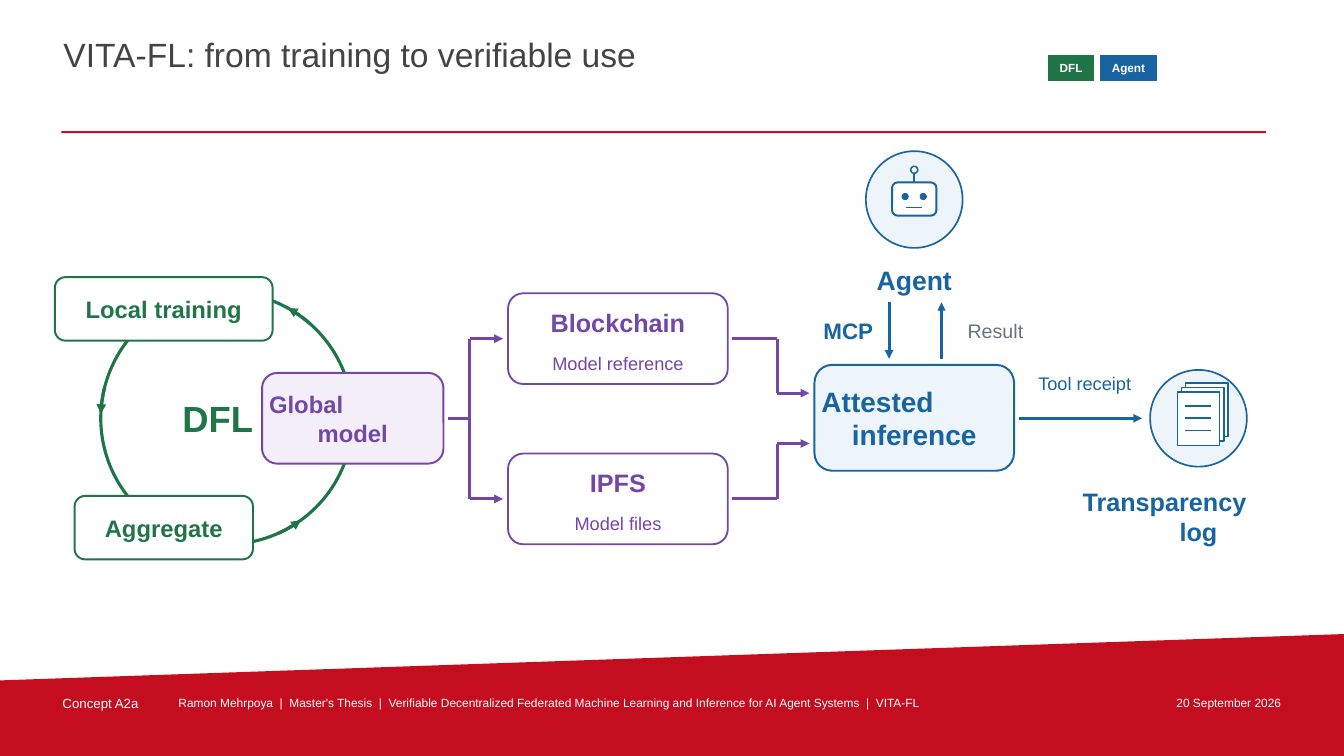
import math

from lxml import etree
from pptx import Presentation
from pptx import util as u
from pptx.dml.color import RGBColor
from pptx.enum import shapes, text
from pptx.oxml.ns import qn

# Grid: square cells of 0.1 inch, counted in columns and rows
COLUMNS, ROWS = 133.33, 75
AXIS = 41.5  # row on which the whole flow is centred
RED, GREEN, PURPLE, BLUE = "C40D1E", "207548", "7446A6", "1764A1"
WHITE, LILAC, ICE = "FFFFFF", "F3EEF8", "EDF4FA"
RECT = shapes.MSO_SHAPE.RECTANGLE
ROUND = shapes.MSO_SHAPE.ROUNDED_RECTANGLE
OVAL = shapes.MSO_SHAPE.OVAL
LEFT, CENTER, RIGHT = text.PP_ALIGN.LEFT, text.PP_ALIGN.CENTER, text.PP_ALIGN.RIGHT


def cells(*counts):
    return [u.Inches(count / 10) for count in counts]


def rgb(hex_code):
    return RGBColor.from_string(hex_code)


def paint(shape, fill, line=None, width=1.4):
    shape.shadow.inherit = False
    shape.fill.solid()
    shape.fill.fore_color.rgb = rgb(fill)
    if line:
        shape.line.color.rgb = rgb(line)
        shape.line.width = u.Pt(width)
    else:
        shape.line.fill.background()


def figure(slide, kind, box, fill, line=None, width=1.4):
    shape = slide.shapes.add_shape(kind, *cells(*box))
    paint(shape, fill, line, width)
    return shape


def write(frame, words, size, color, bold=False, aligns=(CENTER,),
          anchor=text.MSO_ANCHOR.MIDDLE, margin=0.0):
    """Fill a text frame; aligns holds one alignment per paragraph."""
    frame.word_wrap = True
    frame.auto_size = text.MSO_AUTO_SIZE.SHAPE_TO_FIT_TEXT
    frame.vertical_anchor = anchor
    frame.margin_left = frame.margin_right = u.Inches(margin)
    frame.margin_top = frame.margin_bottom = u.Inches(margin)
    frame.text = words
    for paragraph, align in zip(frame.paragraphs, aligns):
        paragraph.alignment = align
        for run in paragraph.runs:
            run.font.name = "Arial"
            run.font.size = u.Pt(size)
            run.font.bold = bold
            run.font.color.rgb = rgb(color)


def label(slide, box, words, size, color, **style):
    frame = slide.shapes.add_textbox(*cells(*box)).text_frame
    write(frame, words, size, color, **style)


def card(slide, box, words, size, color, fill=WHITE, aligns=(CENTER,)):
    """Rounded box with an inset bold label."""
    left, top, width, height = box
    figure(slide, ROUND, box, fill, color)
    label(slide, (left + 0.7, top + 0.3, width - 1.4, height - 0.6),
          words, size, color, bold=True, aligns=aligns)


def route(slide, points, color, width, arrow=True):
    """Join points by straight connectors, the last one with an arrowhead."""
    for start, end in zip(points, points[1:]):
        link = slide.shapes.add_connector(
            shapes.MSO_CONNECTOR.STRAIGHT, *cells(*start, *end))
        link.line.color.rgb = rgb(color)
        link.line.width = u.Pt(width)
        etree.SubElement(link.element.spPr, qn("a:effectLst"))
    if arrow:
        outline = link.element.spPr.find(qn("a:ln"))
        etree.SubElement(outline, qn("a:tailEnd"), type="triangle")
    return link


def add_frame(slide):
    # Footer wedge
    corners = [cells(*corner) for corner in
               ((0, 67.5), (COLUMNS, 62.9), (COLUMNS, ROWS), (0, ROWS))]
    wedge = slide.shapes.build_freeform(*corners[0])
    wedge.add_line_segments(corners[1:], close=True)
    paint(wedge.convert_to_shape(), RED)

    # Title and rule
    title = slide.shapes.title
    title.left, title.top, title.width, title.height = cells(6.1, 3.2, 96.5, 6.2)
    write(title.text_frame, "VITA-FL: from training to verifiable use", 24, "434343",
          aligns=(LEFT,), anchor=text.MSO_ANCHOR.TOP, margin=0.02)
    figure(slide, RECT, (6.1, 13, 119.5, 0.2), RED)

    # Footer texts
    thesis = "  |  ".join((
        "Ramon Mehrpoya", "Master's Thesis",
        "Verifiable Decentralized Federated Machine Learning and Inference"
        " for AI Agent Systems", "VITA-FL"))
    for left, width, words, size, align in (
            (6, 10, "Concept A2a", 9.5, LEFT),
            (17.5, 93.5, thesis, 8.5, LEFT),
            (112, 15.3, "20 September 2026", 8.5, RIGHT)):
        label(slide, (left, 68.8, width, 2.2), words, size, WHITE, aligns=(align,),
              anchor=text.MSO_ANCHOR.TOP, margin=0.02)

    # Section tags
    for left, width, words, color in ((104, 4.5, "DFL", GREEN),
                                      (109.2, 5.5, "Agent", BLUE)):
        tag = (left, 5.5, width, 2.5)
        figure(slide, RECT, tag, color, color, 0.55)
        label(slide, tag, words, 8.4, WHITE, bold=True)


def add_training_ring(slide):
    center, radius = 22.5, 12.5
    figure(slide, OVAL, (center - radius, AXIS - radius, 2 * radius, 2 * radius),
           WHITE, GREEN, 2.25)
    for start in (166, 294, 49):  # degrees, counter-clockwise
        angles = [math.radians(start + 1.5 * step) for step in range(9)]
        arc = [(center + radius * math.cos(angle), AXIS - radius * math.sin(angle))
               for angle in angles]
        route(slide, arc, GREEN, 2.3)
    card(slide, (5.45, 27.5, 21.6, 6.3), "Local training", 17, GREEN)
    card(slide, (7.4, 49.2, 17.7, 6.3), "Aggregate", 17, GREEN)
    card(slide, (26, AXIS - 4.5, 18, 9), "Global\nmodel", 17, PURPLE, LILAC,
         (LEFT, CENTER))
    label(slide, (14.9, 39, 13.4, 5), "DFL", 26, GREEN, bold=True)


def add_storage(slide):
    fork, merge = 46.6, 77.1
    route(slide, [(44.4, AXIS), (fork, AXIS)], PURPLE, 2.1, arrow=False)
    for row, entry, name, content in ((33.6, 39, "Blockchain", "Model reference"),
                                      (49.5, 44, "IPFS", "Model files")):
        route(slide, [(fork, AXIS), (fork, row), (49.9, row)], PURPLE, 2.1)
        top = row - 4.5
        figure(slide, ROUND, (50.4, top, 21.8, 9), WHITE, PURPLE, 1.3)
        label(slide, (51.2, top + 1.1, 20.2, 3.6), name, 18, PURPLE, bold=True)
        label(slide, (51.2, top + 5.5, 20.2, 2.8), content, 13, PURPLE)
        route(slide, [(72.6, row), (merge, row), (merge, entry), (80.3, entry)],
              PURPLE, 2.1)


def add_agent(slide):
    card(slide, (80.8, 36.2, 19.8, 10.5), "Attested\ninference", 20, BLUE, ICE,
         (LEFT, CENTER))

    # Robot
    middle = 90.7
    figure(slide, OVAL, (middle - 4.8, 15, 9.6, 9.6), ICE, BLUE, 1.2)
    head = figure(slide, ROUND, (middle - 2.2, 18.1, 4.4, 3.3), WHITE, BLUE)
    for side in (-0.9, 0.9):
        figure(slide, OVAL, (middle + side - 0.3, 19.2, 0.6, 0.6), BLUE, BLUE, 0.8)
    route(slide, [(middle - 0.8, 20.6), (middle + 0.8, 20.6)], BLUE, 1.2, arrow=False)
    antenna = route(slide, [(middle, 18.1), (middle, 17.2)], BLUE, 1.2, arrow=False)
    antenna.begin_connect(head, 0)
    figure(slide, OVAL, (middle - 0.35, 16.5, 0.7, 0.7), WHITE, BLUE, 1.1)
    label(slide, (79.2, 25.9, 23, 3.8), "Agent", 19, BLUE, bold=True)

    # Call and answer
    route(slide, [(88.2, 30), (88.2, 35.6)], BLUE, 2.1)
    label(slide, (80.9, 31.3, 6.5, 3), "MCP", 16, BLUE, bold=True)
    route(slide, [(93.4, 35.6), (93.4, 30)], BLUE, 1.5)
    label(slide, (94.8, 31.3, 7.9, 3), "Result", 14, "67747C")


def add_log(slide):
    route(slide, [(101.1, AXIS), (113.3, AXIS)], BLUE, 2.1)
    label(slide, (101.5, 36.4, 12.2, 3.3), "Tool receipt", 13, BLUE)
    figure(slide, OVAL, (114.1, AXIS - 4.8, 9.6, 9.6), ICE, BLUE, 1.2)
    for sheet in range(3):
        figure(slide, RECT, (117.6 - 0.4 * sheet, 38 + 0.45 * sheet, 4.2, 5.3),
               WHITE, BLUE, 1.2)
    for offset in (-1.2, 0, 1.2):
        row = AXIS + offset
        route(slide, [(117.6, row), (120.1, row)], BLUE, 1.2, arrow=False)
    label(slide, (107.4, 47.6, 23, 7.2), "Transparency\nlog", 18, BLUE, bold=True,
          aligns=(LEFT, CENTER))


def main():
    deck = Presentation()
    deck.slide_width, deck.slide_height = cells(COLUMNS, ROWS)
    slide = deck.slides.add_slide(deck.slide_layouts[5])  # title only
    add_frame(slide)
    add_training_ring(slide)
    add_storage(slide)
    add_agent(slide)
    add_log(slide)
    deck.save("out.pptx")


if __name__ == "__main__":
    main()
